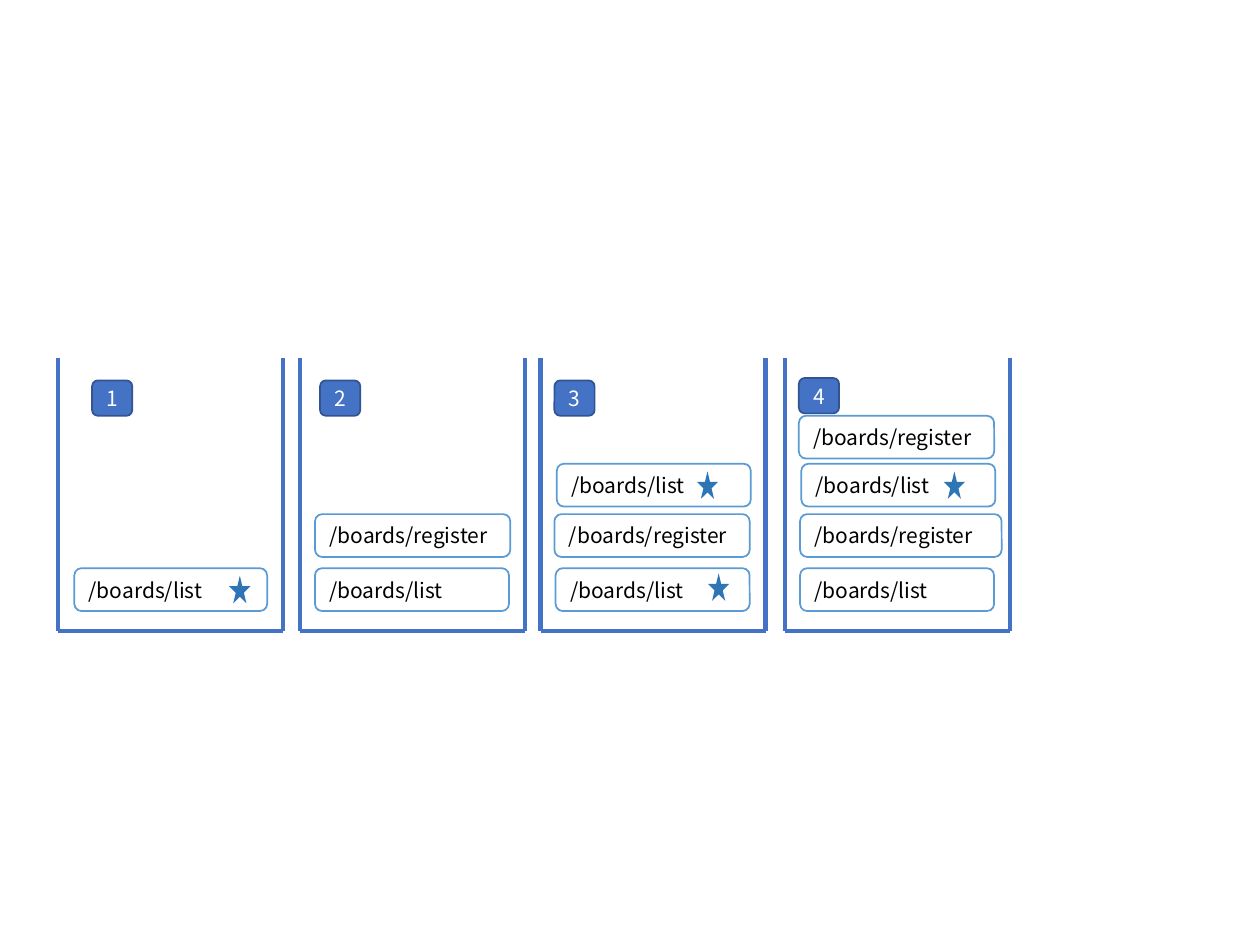
from lxml.etree import SubElement
from pptx import Presentation
from pptx.dml.color import RGBColor
from pptx.enum.shapes import MSO_CONNECTOR, MSO_SHAPE
from pptx.enum.text import MSO_ANCHOR, PP_ALIGN
from pptx.oxml.ns import qn
from pptx.util import Pt

COLORS = {
    "stack": "4472C4",
    "card": "FFFFFF",
    "card_line": "5B9BD5",
    "card_text": "000000",
    "badge_line": "325491",
    "badge_text": "FFFFFF",
    "star": "2E75B6",
}
FONT = {"name": "Noto Sans CJK KR", "size": Pt(12)}
CARD_FRAME = {"word_wrap": True, "vertical_anchor": MSO_ANCHOR.MIDDLE}
BADGE_FRAME = {**CARD_FRAME, "margin_left": 0, "margin_right": 0,
               "margin_top": 0, "margin_bottom": 0}

STACK_TOP, STACK_BOTTOM, STACK_WIDTH = 204.5, 360.7, 128.6
CARD_TOPS = [324.7, 293.8, 265, 237.6]
CARD_HEIGHT = 24.5
URLS = ["/boards/list", "/boards/register"]

STACKS = [
    (33.1, (52.6, 217.4), [(42.5, 110.2)]),
    (171.4, (182.9, 217.4), [(180, 110.9), (180, 111.6)]),
    (308.9, (316.8, 217.4), [(317.5, 110.9), (316.8, 111.6), (318.2, 110.9)]),
    (448.6, (456.5, 216), [(457.2, 110.9), (457.2, 115.2), (457.9, 110.9), (456.5, 111.6)]),
]
STARS = [(398.2, 269.3), (539.3, 269.3), (131, 329), (404.6, 327.6)]


def add_filled(kind, left, top, width, height, fill, line=None):
    shape = slide.shapes.add_shape(kind, Pt(left), Pt(top), Pt(width), Pt(height))
    shape.shadow.inherit = False
    shape.fill.solid()
    shape.fill.fore_color.rgb = RGBColor.from_string(COLORS[fill])
    if line:
        shape.line.color.rgb = RGBColor.from_string(COLORS[line])
        shape.line.width = Pt(1)
    else:
        shape.line.fill.background()
    return shape


def write_label(shape, text, color, align, frame_format):
    frame = shape.text_frame
    for name, value in frame_format.items():
        setattr(frame, name, value)
    paragraph = frame.paragraphs[0]
    paragraph.alignment = align
    run = paragraph.add_run()
    run.text = text
    for name, value in FONT.items():
        setattr(run.font, name, value)
    run.font.color.rgb = RGBColor.from_string(COLORS[color])


presentation = Presentation()
presentation.slide_width, presentation.slide_height = Pt(720), Pt(540)
slide = presentation.slides.add_slide(presentation.slide_layouts[6])

for number, (left, badge_place, cards) in enumerate(STACKS, start=1):
    right = left + STACK_WIDTH
    for x1, y1, x2 in [(left, STACK_TOP, left), (right, STACK_TOP, right),
                       (left, STACK_BOTTOM, right)]:
        wall = slide.shapes.add_connector(
            MSO_CONNECTOR.STRAIGHT, Pt(x1), Pt(y1), Pt(x2), Pt(STACK_BOTTOM))
        wall.line.color.rgb = RGBColor.from_string(COLORS["stack"])
        wall.line.width = Pt(2.5)
        SubElement(wall._element.spPr, qn("a:effectLst"))

    for level, (card_left, card_width) in enumerate(cards):
        card = add_filled(MSO_SHAPE.ROUNDED_RECTANGLE, card_left, CARD_TOPS[level],
                          card_width, CARD_HEIGHT, "card", "card_line")
        write_label(card, URLS[level % 2], "card_text", PP_ALIGN.LEFT, CARD_FRAME)

    badge = add_filled(MSO_SHAPE.ROUNDED_RECTANGLE, *badge_place, 23, 20.2,
                       "stack", "badge_line")
    write_label(badge, str(number), "badge_text", PP_ALIGN.CENTER, BADGE_FRAME)

for star_left, star_top in STARS:
    add_filled(MSO_SHAPE.STAR_5_POINT, star_left, star_top, 12.2, 15.8, "star")

presentation.save("out.pptx")
